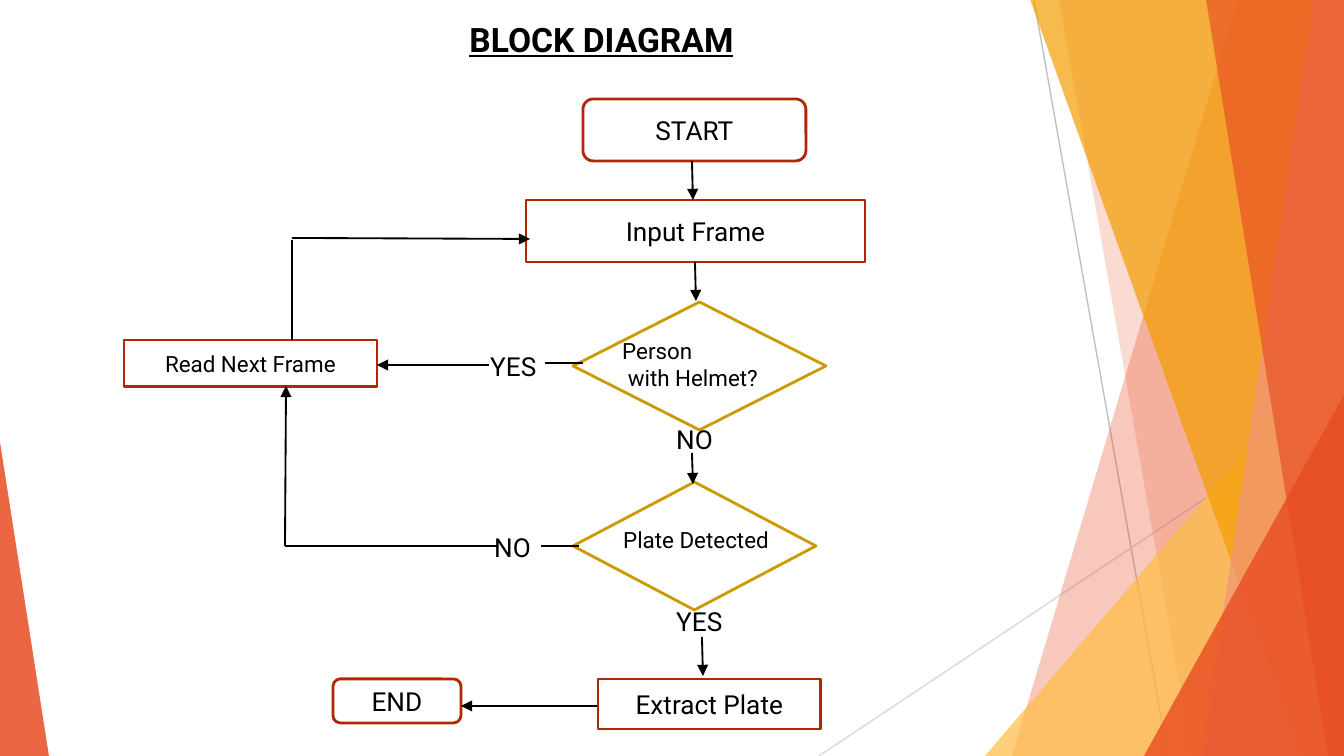
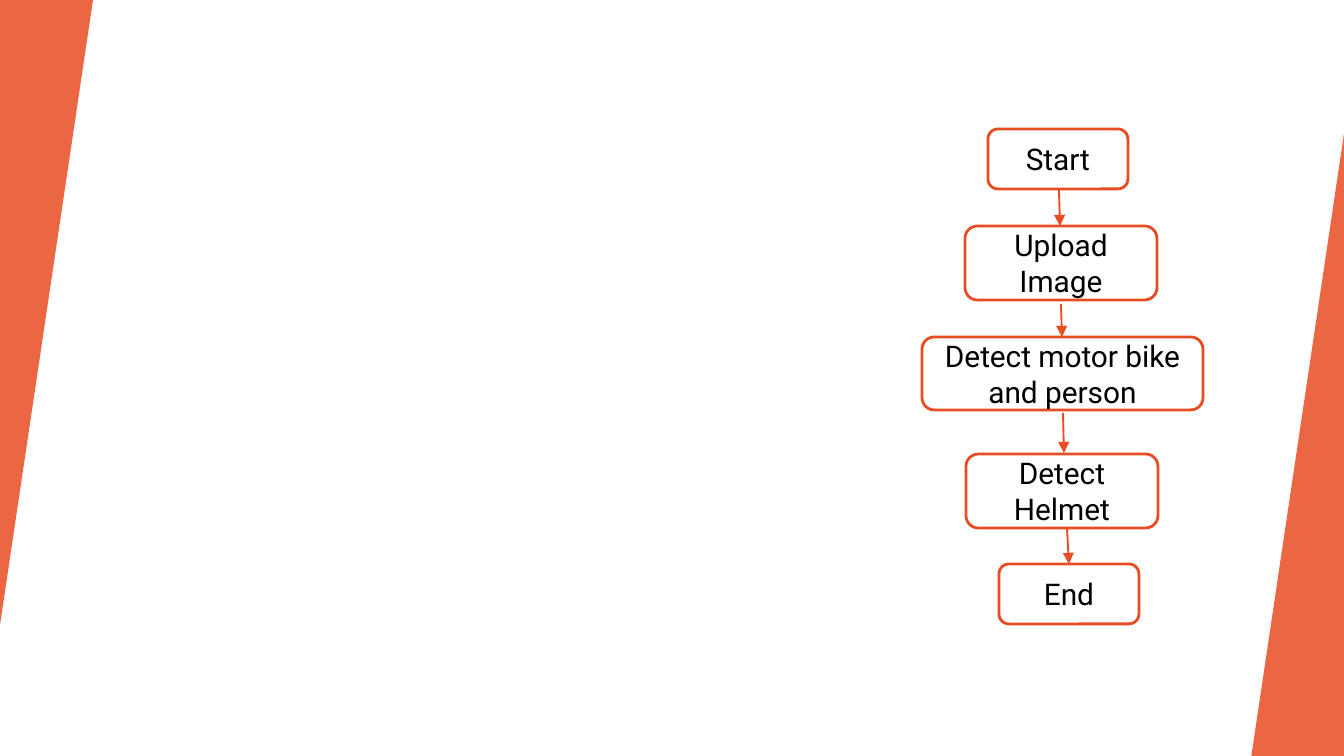
from pptx import Presentation
from pptx.dml.color import RGBColor
from pptx.enum.shapes import MSO_CONNECTOR, MSO_SHAPE
from pptx.enum.text import MSO_ANCHOR, MSO_AUTO_SIZE, PP_ALIGN
from pptx.oxml.ns import qn
from pptx.util import Pt
from lxml import etree

RECT = MSO_SHAPE.RECTANGLE
ROUND = MSO_SHAPE.ROUNDED_RECTANGLE
DIAMOND = MSO_SHAPE.FLOWCHART_DECISION
TRIANGLE = MSO_SHAPE.ISOSCELES_TRIANGLE
STRAIGHT = MSO_CONNECTOR.STRAIGHT
LEFT, CENTER = PP_ALIGN.LEFT, PP_ALIGN.CENTER
TOP, MIDDLE = MSO_ANCHOR.TOP, MSO_ANCHOR.MIDDLE
FIXED = MSO_AUTO_SIZE.NONE

BLACK = RGBColor(0x00, 0x00, 0x00)
WHITE = RGBColor(0xFF, 0xFF, 0xFF)
ORANGE = RGBColor(0xE8, 0x4C, 0x22)
YELLOW = RGBColor(0xFF, 0xBD, 0x47)
AMBER = RGBColor(0xF4, 0x9D, 0x00)
SALMON = RGBColor(0xF1, 0x94, 0x7A)
BRICK = RGBColor(0xB2, 0x26, 0x00)
GOLD = RGBColor(0xCC, 0x99, 0x00)
GRAY = RGBColor(0xBF, 0xBF, 0xBF)
LIGHT_GRAY = RGBColor(0xD9, 0xD9, 0xD9)

FONT = "Roboto"
WIDTH, HEIGHT = 1344, 756
SCALE = 914400 / 134.4
TITLE_LAYOUT, BLANK_LAYOUT = 5, 6

TITLE = "BLOCK DIAGRAM"
TITLE_PLACE = (456, 12, 301, 54)

THIN_LINES = [((1034, 0, 1168, 756), GRAY), ((1344, 406, 819, 756), LIGHT_GRAY)]
FACETS = [
    ("band", (1238, 1012), ORANGE, 30),
    ("band", (1059, 1192), ORANGE, 20),
    ("right", (985, 336, 359, 420), YELLOW, 72),
    ("band", (1030, 1301), AMBER, 70),
    ("band", (1314, 1202), SALMON, 70),
    ("band", (1206, 1328), ORANGE, 65),
    ("right", (1144, 395, 200, 361), ORANGE, 80),
    ("left", (0, 442, 49, 314), ORANGE, 85),
]
SIDE_FACETS = [
    ("turned", (0, 0, 93, 625), ORANGE, 85),
    ("right", (1251, 134, 93, 625), ORANGE, 85),
]

BLOCKS = [
    (ROUND, (583, 99, 223, 62), BRICK, "START", 14),
    (RECT, (526, 200, 339, 62), BRICK, "Input Frame", 14),
    (DIAMOND, (573, 302, 253, 128), GOLD, "", 12),
    (DIAMOND, (573, 482, 243, 128), GOLD, "", 12),
    (RECT, (598, 679, 223, 50), BRICK, "Extract Plate", 14),
    (ROUND, (333, 679, 128, 44), BRICK, "END", 14),
    (RECT, (124, 340, 253, 47), BRICK, "Read Next Frame", 12),
]
BLOCK_ARROWS = [
    (692, 161, 693, 200),
    (695, 262, 696, 301),
    (692, 453, 693, 484),
    (702, 637, 703, 676),
    (597, 706, 461, 706),
    (489, 365, 377, 365),
    (285, 546, 286, 386),
    (292, 238, 530, 239),
]
BLOCK_LINES = [
    (583, 363, 545, 363),
    (579, 546, 541, 546),
    (285, 546, 497, 546),
    (292, 340, 292, 240),
]
LABELS = [
    ((663, 417, 79, 43), ["NO"], 14),
    ((663, 599, 79, 43), ["YES"], 14),
    ((477, 344, 79, 43), ["YES"], 14),
    ((481, 525, 79, 43), ["NO"], 14),
    ((609, 331, 241, 65), ["Person", " with Helmet?"], 12),
    ((610, 520, 200, 65), ["Plate Detected"], 12),
]

STEPS = [
    ((988, 129, 140, 60), "Start"),
    ((965, 226, 192, 74), "Upload Image"),
    ((922, 337, 281, 73), "Detect motor bike and person"),
    ((966, 454, 192, 74), "Detect Helmet"),
    ((999, 564, 140, 60), "End"),
]
STEP_ARROWS = [
    (1059, 190, 1060, 226),
    (1061, 304, 1062, 337),
    (1063, 413, 1064, 453),
    (1067, 528, 1069, 564),
]


def emu(place):
    return [round(length * SCALE) for length in place]


def write(box, lines, size=14, align=LEFT, anchor=TOP, bold=False, underline=False):
    frame = box.text_frame
    frame.word_wrap = True
    frame.auto_size = FIXED
    frame.vertical_anchor = anchor
    for index, line in enumerate(lines):
        para = frame.add_paragraph() if index else frame.paragraphs[0]
        para.alignment = align
        span = para.add_run()
        span.text = line
        span.font.name = FONT
        span.font.size = Pt(size)
        span.font.bold = bold
        span.font.underline = underline
        span.font.color.rgb = BLACK


def add_title(page, text):
    title = page.shapes.title
    title.left, title.top, title.width, title.height = emu(TITLE_PLACE)
    write(title, [text], size=18, bold=True, underline=True)


def add_line(page, ends, color, width=1, arrow=False):
    connector = page.shapes.add_connector(STRAIGHT, *emu(ends))
    connector.line.color.rgb = color
    connector.line.width = Pt(width)
    properties = connector._element.spPr
    if arrow:
        etree.SubElement(properties.find(qn("a:ln")), qn("a:tailEnd"), type="triangle")
    etree.SubElement(properties, qn("a:effectLst"))


def add_facet(page, kind, place, color, opacity):
    if kind == "band":
        top, bottom = place
        builder = page.shapes.build_freeform(top, -1, scale=SCALE)
        builder.add_line_segments([(WIDTH, -1), (WIDTH, HEIGHT), (bottom, HEIGHT)])
        facet = builder.convert_to_shape()
    else:
        facet = page.shapes.add_shape(TRIANGLE, *emu(place))
        facet.adjustments[0] = 0 if kind == "left" else 1
        facet.rotation = 180 if kind == "turned" else 0
    facet.shadow.inherit = False
    facet.fill.solid()
    facet.fill.fore_color.rgb = color
    facet.line.fill.background()
    tint = facet._element.spPr.find(qn("a:solidFill")).find(qn("a:srgbClr"))
    etree.SubElement(tint, qn("a:alpha"), val=str(opacity * 1000))


def add_block(page, kind, place, color, text, size):
    block = page.shapes.add_shape(kind, *emu(place))
    block.shadow.inherit = False
    block.fill.solid()
    block.fill.fore_color.rgb = WHITE
    block.line.color.rgb = color
    block.line.width = Pt(1.5)
    if text:
        write(block, [text], size=size, align=CENTER, anchor=MIDDLE)


def build_block_diagram(deck):
    page = deck.slides.add_slide(deck.slide_layouts[TITLE_LAYOUT])
    for ends, color in THIN_LINES:
        add_line(page, ends, color, width=0.75)
    for facet in FACETS:
        add_facet(page, *facet)
    add_title(page, TITLE)
    for block in BLOCKS:
        add_block(page, *block)
    for ends in BLOCK_ARROWS:
        add_line(page, ends, BLACK, arrow=True)
    for ends in BLOCK_LINES:
        add_line(page, ends, BLACK)
    for place, lines, size in LABELS:
        write(page.shapes.add_textbox(*emu(place)), lines, size=size)


def build_steps(deck):
    page = deck.slides.add_slide(deck.slide_layouts[BLANK_LAYOUT])
    for facet in SIDE_FACETS:
        add_facet(page, *facet)
    for place, text in STEPS:
        add_block(page, ROUND, place, ORANGE, text, 16)
    for ends in STEP_ARROWS:
        add_line(page, ends, ORANGE, arrow=True)


def main():
    deck = Presentation()
    deck.slide_width, deck.slide_height = emu((WIDTH, HEIGHT))
    build_block_diagram(deck)
    build_steps(deck)
    deck.save("out.pptx")


if __name__ == "__main__":
    main()
